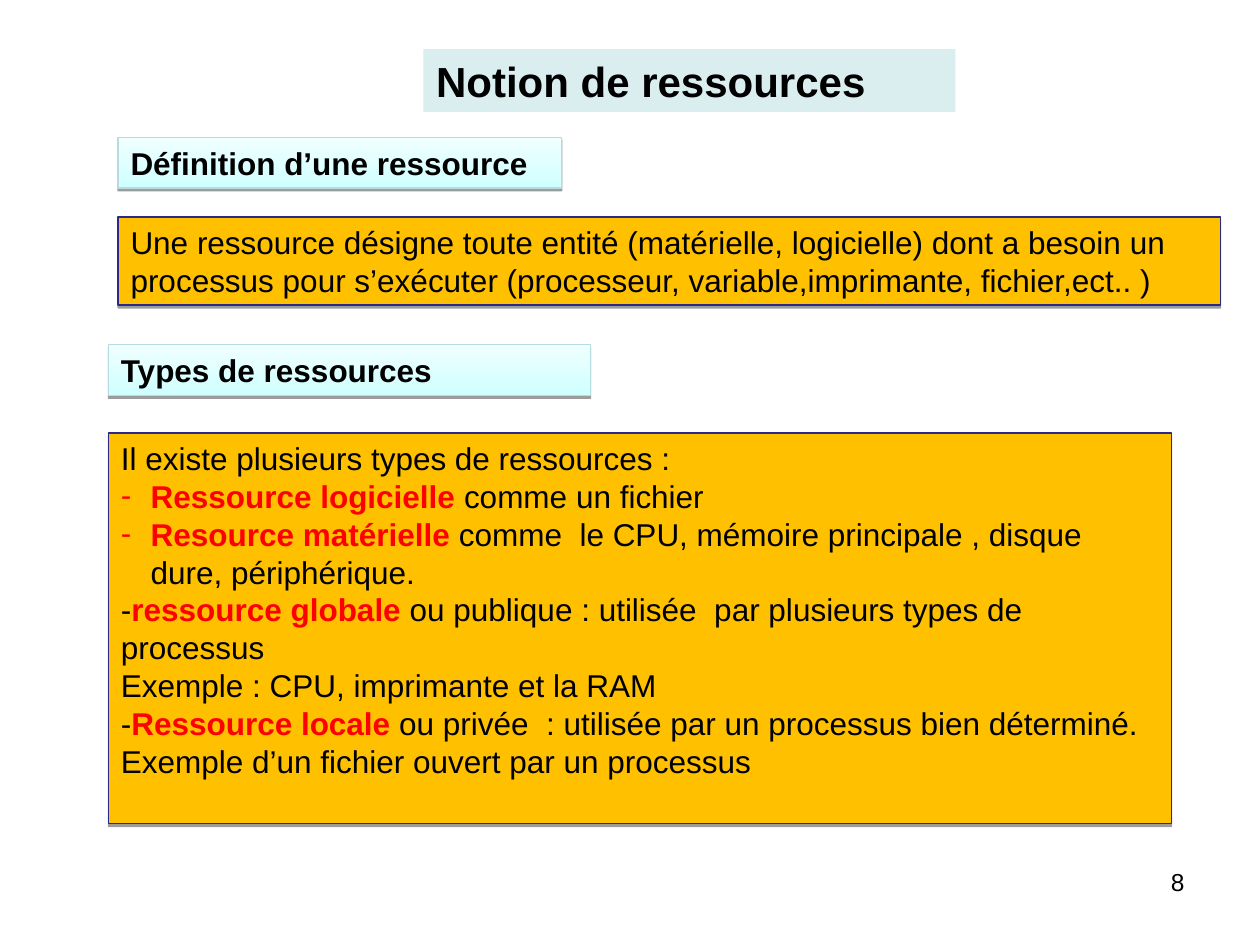
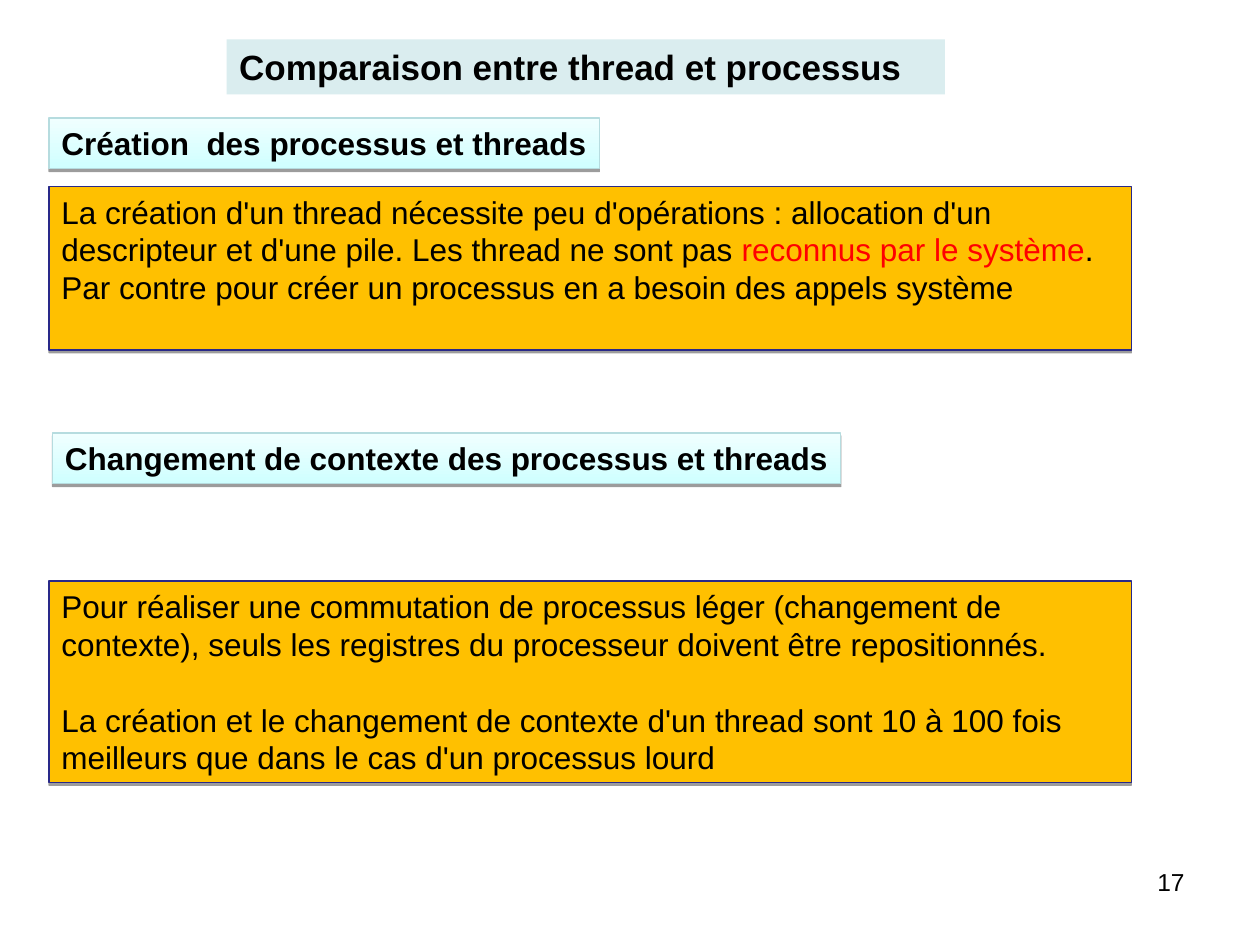
from dataclasses import dataclass

from lxml import etree
from pptx import Presentation
from pptx.dml.color import RGBColor
from pptx.enum.shapes import MSO_SHAPE
from pptx.enum.text import MSO_ANCHOR, MSO_AUTO_SIZE, PP_ALIGN
from pptx.oxml.ns import qn
from pptx.util import Pt

BLACK = RGBColor(0x00, 0x00, 0x00)
RED = RGBColor(0xFF, 0x00, 0x00)
TITLE_FILL = RGBColor(0xDA, 0xED, 0xEF)
HEADING_BOTTOM = RGBColor(0xCF, 0xFF, 0xFF)
HEADING_TOP = RGBColor(0xF0, 0xFF, 0xFF)
HEADING_LINE = RGBColor(0xB6, 0xDC, 0xDF)
BODY_FILL = RGBColor(0xFF, 0xC0, 0x00)
BODY_LINE = RGBColor(0x29, 0x29, 0x89)

FONT = "Arial"
TEXT_SIZE = 18
LINE_FACTOR = 1.2
BULLET_INDENT = 17
TITLE_ONLY = 5
FRAME_FORMAT = {
    "margin_left": Pt(7.2), "margin_right": Pt(7.2),
    "margin_top": Pt(3.6), "margin_bottom": Pt(3.6),
    "word_wrap": True, "auto_size": MSO_AUTO_SIZE.NONE,
    "vertical_anchor": MSO_ANCHOR.TOP,
}


@dataclass(frozen=True)
class Box:
    left: float
    top: float
    width: float
    height: float

    def lengths(self):
        return tuple(Pt(n) for n in (self.left, self.top, self.width, self.height))


@dataclass(frozen=True)
class Run:
    text: str
    color: RGBColor = BLACK
    bold: bool = False


@dataclass(frozen=True)
class Line:
    """One paragraph of a body panel."""
    runs: tuple[Run, ...]
    bullet: bool = False
    space_before: float = 0


@dataclass(frozen=True)
class Section:
    heading: str
    heading_box: Box
    body_box: Box
    lines: tuple[Line, ...]


@dataclass(frozen=True)
class Page:
    title: str
    title_box: Box
    title_size: float
    number: str
    sections: tuple[Section, ...]


def plain(text: str, space_before: float = 0) -> Line:
    return Line((Run(text),), space_before=space_before)


def term(name: str, rest: str, bullet: bool = False) -> Line:
    """A bold red term and its explanation, after a real bullet or a typed dash."""
    runs = (Run(name + " ", RED, True), Run(rest))
    return Line(runs if bullet else (Run("-"), *runs), bullet)


NUMBER_BOX = Box(516, 492, 168, 37.5)
PAGES = (
    Page("Notion de ressources", Box(242, 28, 304, 36), 24, "8", (
        Section("Définition d’une ressource",
                Box(67.5, 78.5, 253.5, 29), Box(67.5, 124, 630, 50.4), (
                    plain("Une ressource désigne toute entité (matérielle, logicielle) "
                          "dont a besoin un processus pour s’exécuter (processeur, "
                          "variable,imprimante, fichier,ect.. )"),
                )),
        Section("Types de ressources",
                Box(62, 197, 275.5, 29), Box(62, 247.5, 607.5, 223.2), (
                    plain("Il existe plusieurs types de ressources :"),
                    term("Ressource logicielle", "comme un fichier", True),
                    term("Resource matérielle", "comme  le CPU, mémoire principale , "
                         "disque dure, périphérique.", True),
                    term("ressource globale", "ou publique : utilisée  par plusieurs "
                         "types de processus"),
                    plain("Exemple : CPU, imprimante et la RAM"),
                    term("Ressource locale", "ou privée  : utilisée par un processus "
                         "bien déterminé."),
                    plain("Exemple d’un fichier ouvert par un processus"),
                )),
    )),
    Page("Comparaison entre thread et processus", Box(129.5, 22.5, 410.5, 31.5), 20, "17", (
        Section("Création  des processus et threads",
                Box(28, 67.5, 314.5, 29), Box(28, 106.5, 618.5, 93.6), (
                    Line((Run("La création d'un thread nécessite peu d'opérations : "
                              "allocation d'un descripteur et d'une pile. "
                              "Les thread ne sont pas "),
                          Run("reconnus par le système", RED), Run("."))),
                    plain("Par contre pour créer un processus en a besoin des appels "
                          "système"),
                )),
        Section("Changement de contexte des processus et threads",
                Box(30, 247.5, 450.5, 29), Box(28, 332, 618.5, 115.2), (
                    plain("Pour réaliser une commutation de processus léger (changement "
                          "de contexte), seuls les registres du processeur doivent être "
                          "repositionnés."),
                    plain("La création et le changement de contexte d'un thread sont 10 à "
                          "100 fois meilleurs que dans le cas d'un processus lourd",
                          TEXT_SIZE * LINE_FACTOR),
                )),
    )),
)


def apply(target, values: dict) -> None:
    for name, value in values.items():
        setattr(target, name, value)


def add_bullet(paragraph) -> None:
    properties = paragraph._p.get_or_add_pPr()
    properties.set("marL", str(Pt(BULLET_INDENT)))
    properties.set("indent", str(-Pt(BULLET_INDENT)))
    color = etree.SubElement(properties, qn("a:buClr"))
    etree.SubElement(color, qn("a:srgbClr"), val=str(RED))
    etree.SubElement(properties, qn("a:buFont"), typeface=FONT)
    etree.SubElement(properties, qn("a:buChar"), char="-")


def write(shape, lines: tuple[Line, ...], size: float = TEXT_SIZE,
          alignment: PP_ALIGN = PP_ALIGN.LEFT) -> None:
    frame = shape.text_frame
    apply(frame, FRAME_FORMAT)
    for index, line in enumerate(lines):
        paragraph = frame.add_paragraph() if index else frame.paragraphs[0]
        if line.bullet:
            add_bullet(paragraph)
        apply(paragraph, {"alignment": alignment, "line_spacing": Pt(size * LINE_FACTOR),
                          "space_before": Pt(line.space_before)})
        for part in line.runs:
            run = paragraph.add_run()
            run.text = part.text
            apply(run.font, {"name": FONT, "size": Pt(size), "bold": part.bold})
            run.font.color.rgb = part.color


def add_panel(slide, box: Box, line_color: RGBColor):
    """An outlined rectangle with a short shadow straight below."""
    shape = slide.shapes.add_shape(MSO_SHAPE.RECTANGLE, *box.lengths())
    shape.line.color.rgb = line_color
    shape.line.width = Pt(0.75)
    shape.shadow.inherit = False
    effects = shape._element.spPr.find(qn("a:effectLst"))
    shadow = etree.SubElement(effects, qn("a:outerShdw"), blurRad="0",
                              dist=str(Pt(1.6)), dir="5400000", rotWithShape="0")
    color = etree.SubElement(shadow, qn("a:srgbClr"), val=str(BLACK))
    etree.SubElement(color, qn("a:alpha"), val="38000")
    return shape


def add_heading(slide, text: str, box: Box) -> None:
    shape = add_panel(slide, box, HEADING_LINE)
    shape.fill.gradient()
    shape.fill.gradient_angle = 90
    for stop, color in zip(shape.fill.gradient_stops, (HEADING_BOTTOM, HEADING_TOP)):
        stop.color.rgb = color
    write(shape, (Line((Run(text, bold=True),)),))
    shape.text_frame.margin_right = Pt(0)


def add_body(slide, lines: tuple[Line, ...], box: Box) -> None:
    shape = add_panel(slide, box, BODY_LINE)
    shape.fill.solid()
    shape.fill.fore_color.rgb = BODY_FILL
    write(shape, lines)


def set_title(slide, page: Page) -> None:
    title = slide.shapes.title
    apply(title, dict(zip(("left", "top", "width", "height"), page.title_box.lengths())))
    title.fill.solid()
    title.fill.fore_color.rgb = TITLE_FILL
    write(title, (Line((Run(page.title, bold=True),)),), page.title_size)


def add_page(presentation, page: Page) -> None:
    slide = presentation.slides.add_slide(presentation.slide_layouts[TITLE_ONLY])
    set_title(slide, page)
    for section in page.sections:
        add_heading(slide, section.heading, section.heading_box)
        add_body(slide, section.lines, section.body_box)
    number = slide.shapes.add_textbox(*NUMBER_BOX.lengths())
    write(number, (plain(page.number),), 14, PP_ALIGN.RIGHT)


def main() -> None:
    presentation = Presentation()
    presentation.slide_width, presentation.slide_height = Pt(720), Pt(540)
    for page in PAGES:
        add_page(presentation, page)
    presentation.save("out.pptx")


if __name__ == "__main__":
    main()
